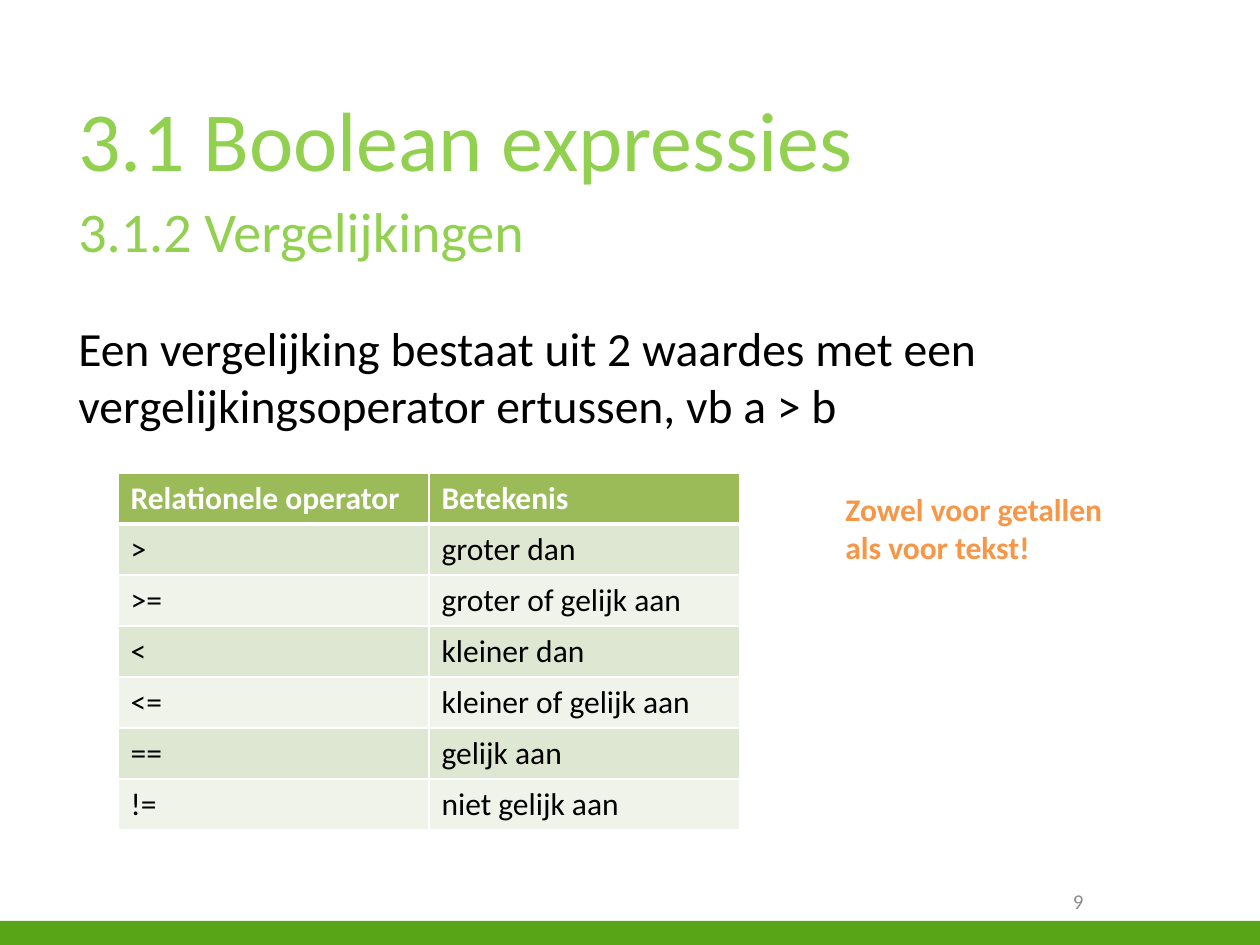
from dataclasses import dataclass

from lxml import etree
from pptx import Presentation
from pptx import util as u
from pptx.dml.color import RGBColor
from pptx.enum import shapes, text
from pptx.oxml.ns import qn

PX = u.Inches(1) // 126


@dataclass(frozen=True)
class Theme:
    font: str = "Calibri"
    green: str = "92D050"
    bar: str = "58A618"
    header: str = "9BBB59"
    bands: tuple = ("DEE7D1", "EFF3EA")
    ink: str = "000000"
    white: str = "FFFFFF"
    accent: str = "F79646"
    muted: str = "8C8C8C"
    title: float = 48
    subtitle: float = 32
    body: float = 27.2
    label: float = 18
    small: float = 12


class SlideBuilder:
    def __init__(self, slide, theme):
        self.slide = slide
        self.theme = theme

    def run(self, paragraph, words, size, color, bold=False):
        run = paragraph.add_run()
        run.text = words
        run.font.name = self.theme.font
        run.font.size = u.Pt(size)
        run.font.bold = bold
        run.font.color.rgb = RGBColor.from_string(color)

    def bar(self, *box):
        bar = self.slide.shapes.add_shape(
            shapes.MSO_SHAPE.RECTANGLE, *(n * PX for n in box))
        bar.shadow.inherit = False
        bar.fill.solid()
        bar.fill.fore_color.rgb = RGBColor.from_string(self.theme.bar)
        bar.line.fill.background()

    def text(self, box, lines, color, bold=False, gap=0,
             align=text.PP_ALIGN.LEFT, anchor=text.MSO_ANCHOR.TOP):
        """Each line is a pair of words and type size."""
        frame = self.slide.shapes.add_textbox(*(n * PX for n in box)).text_frame
        frame.word_wrap = True
        frame.vertical_anchor = anchor
        for i, (words, size) in enumerate(lines):
            paragraph = frame.add_paragraph() if i else frame.paragraphs[0]
            paragraph.alignment = align
            if i:
                paragraph.space_before = u.Pt(gap)
            self.run(paragraph, words, size, color, bold)

    def borders(self, cell, bottom):
        props = cell._tc.get_or_add_tcPr()
        widths = {"a:lnL": 1, "a:lnR": 1, "a:lnT": 1, "a:lnB": bottom}
        for i, (side, width) in enumerate(widths.items()):
            line = etree.Element(qn(side), w=str(u.Pt(width)))
            fill = etree.SubElement(line, qn("a:solidFill"))
            etree.SubElement(fill, qn("a:srgbClr"), val=self.theme.white)
            props.insert(i, line)

    def table(self, left, top, column_width, row_height, rows):
        theme = self.theme
        columns = len(rows[0])
        table = self.slide.shapes.add_table(
            len(rows), columns, left * PX, top * PX,
            columns * column_width * PX, len(rows) * row_height * PX).table
        for r, row in enumerate(rows):
            head = r == 0
            fill = theme.header if head else theme.bands[(r - 1) % 2]
            for c, words in enumerate(row):
                cell = table.cell(r, c)
                cell.fill.solid()
                cell.fill.fore_color.rgb = RGBColor.from_string(fill)
                self.borders(cell, bottom=3 if head else 1)
                self.run(cell.text_frame.paragraphs[0], words, theme.label,
                         theme.white if head else theme.ink, head)


OPERATORS = [
    ("Relationele operator", "Betekenis"),
    (">", "groter dan"),
    (">=", "groter of gelijk aan"),
    ("<", "kleiner dan"),
    ("<=", "kleiner of gelijk aan"),
    ("==", "gelijk aan"),
    ("!=", "niet gelijk aan"),
]


def main():
    deck = Presentation()
    deck.slide_width, deck.slide_height = 1260 * PX, 945 * PX
    theme = Theme()
    page = SlideBuilder(deck.slides.add_slide(deck.slide_layouts[6]), theme)

    # Footer
    page.bar(0, 921, 1260, 25)
    page.text((903, 876, 193, 50), [("9", theme.small)], theme.muted,
              align=text.PP_ALIGN.RIGHT, anchor=text.MSO_ANCHOR.MIDDLE)

    # Headings
    page.text((66, 81, 1131, 199),
              [("3.1 Boolean expressies", theme.title),
               ("3.1.2 Vergelijkingen", theme.subtitle)],
              theme.green, gap=5)

    # Explanation
    page.text((66, 313, 1091, 107),
              [("Een vergelijking bestaat uit 2 waardes met een "
                "vergelijkingsoperator ertussen, vb a > b", theme.body)],
              theme.ink)

    # Operators and side remark
    page.table(118, 473, 311, 51, OPERATORS)
    page.text((833, 484, 324, 89),
              [("Zowel voor getallen als voor tekst!", theme.label)],
              theme.accent, bold=True)

    deck.save("out.pptx")


if __name__ == "__main__":
    main()
